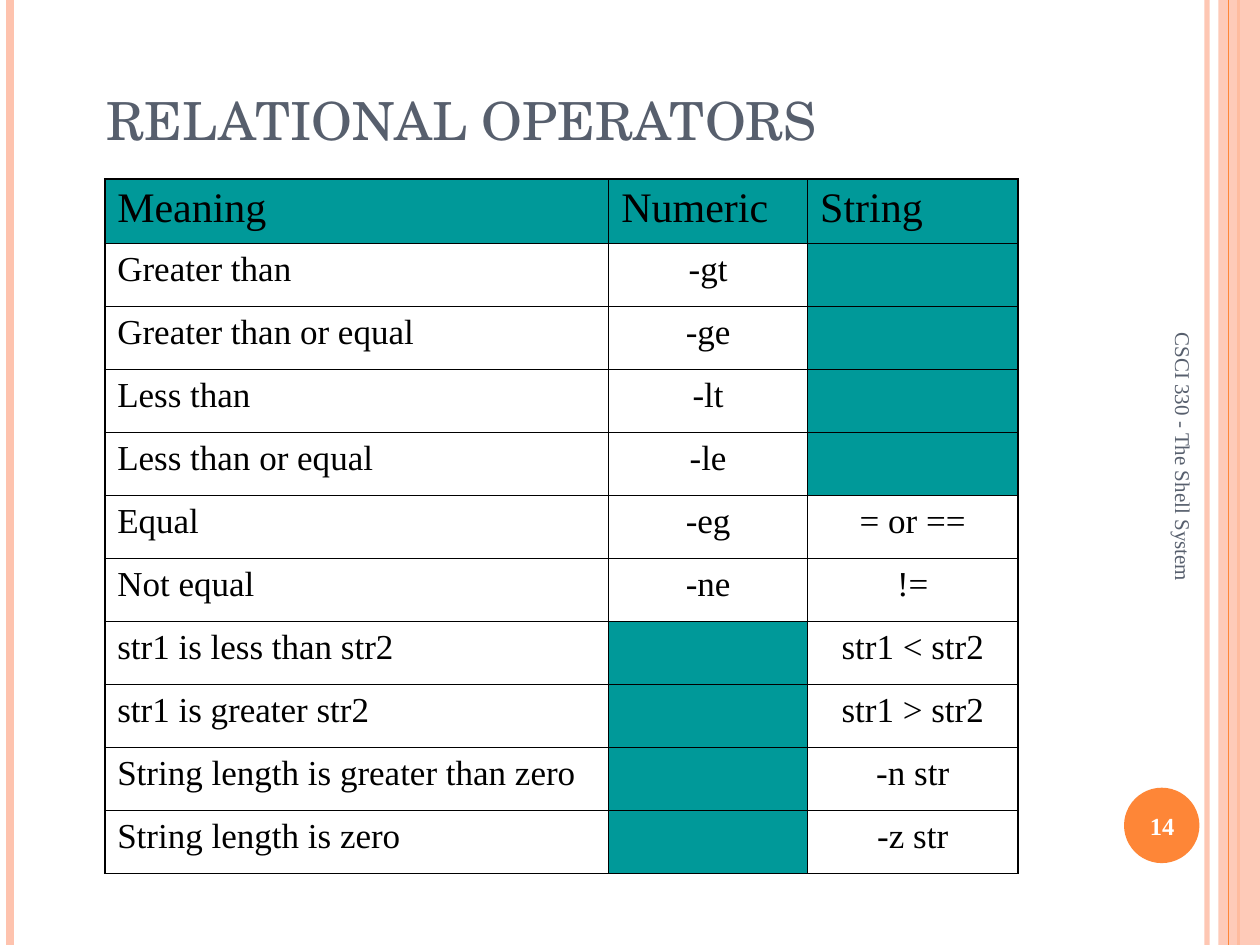
from dataclasses import dataclass

from lxml.etree import SubElement
from pptx import Presentation
from pptx.dml.color import RGBColor
from pptx.enum.shapes import MSO_CONNECTOR, MSO_SHAPE
from pptx.enum.text import MSO_ANCHOR, PP_ALIGN
from pptx.oxml import parse_xml
from pptx.oxml.ns import nsdecls, qn
from pptx.util import Cm, Pt

COLORS = {
    "peach": "FEC3AE",
    "orange": "FE8637",
    "slate": "575F6D",
    "teal": "009999",
    "white": "FFFFFF",
    "black": "000000",
}
SERIF = "Times New Roman"
PAGE_WIDTH, PAGE_HEIGHT = 25.4, 19.05
THIN, THICK = 0.45, 1.08


@dataclass
class Stripe:
    x: float
    color: str
    width: float
    opacity: int = 100


@dataclass
class Label:
    text: str
    left: float
    top: float
    width: float
    height: float
    size: float
    color: str
    font: str = SERIF
    bold: bool = False
    align: PP_ALIGN = PP_ALIGN.LEFT
    anchor: MSO_ANCHOR = MSO_ANCHOR.MIDDLE
    rotation: float = 0


BACK_STRIPES = [
    Stripe(24.33, "peach", 3, 93),
    Stripe(0.2, "peach", 4.5),
    Stripe(24.97, "orange", 1.5),
]
FRONT_STRIPE = Stripe(24.77, "orange", 0.75)

LABELS = [
    Label("RELATIONAL OPERATORS", 1.9, 0.84, 21.59, 2.34, 30, "slate",
          font="TeX Gyre Schola", anchor=MSO_ANCHOR.BOTTOM),
    Label("CSCI 330 - The Shell System", 19.41, 10.39, 8.89, 1.02, 12, "slate",
          rotation=90),
    Label("14", 22.58, 15.93, 1.7, 1.45, 14, "white", bold=True,
          align=PP_ALIGN.CENTER),
]

# An empty string marks an operator that does not exist: a teal cell
OPERATORS = [
    ("Meaning", "Numeric", "String"),
    ("Greater than", "-gt", ""),
    ("Greater than or equal", "-ge", ""),
    ("Less than", "-lt", ""),
    ("Less than or equal", "-le", ""),
    ("Equal", "-eg", "= or =="),
    ("Not equal", "-ne", "!="),
    ("str1 is less than str2", "", "str1 < str2"),
    ("str1 is greater str2", "", "str1 > str2"),
    ("String length is greater than zero", "", "-n str"),
    ("String length is zero", "", "-z str"),
]
COLUMN_WIDTHS = [10.16, 4.01, 4.24]
HEADER_HEIGHT, ROW_HEIGHT = 1.3, 1.27


def rgb(name: str) -> RGBColor:
    return RGBColor.from_string(COLORS[name])


def set_opacity(element, percent: int) -> None:
    color = next(element.iter(qn("a:srgbClr")))
    SubElement(color, qn("a:alpha"), val=str(percent * 1000))


def write_text(paragraph, text: str, size: float, color: str,
               font: str = SERIF, bold: bool = False) -> None:
    span = paragraph.add_run()
    span.text = text
    for name, value in {"name": font, "size": Pt(size), "bold": bold}.items():
        setattr(span.font, name, value)
    span.font.color.rgb = rgb(color)


def draw_stripe(page, stripe: Stripe) -> None:
    x = Cm(stripe.x)
    line = page.shapes.add_connector(
        MSO_CONNECTOR.STRAIGHT, x, 0, x, Cm(PAGE_HEIGHT))
    line.line.color.rgb = rgb(stripe.color)
    line.line.width = Pt(stripe.width)
    properties = line._element.spPr
    if stripe.opacity < 100:
        set_opacity(properties, stripe.opacity)
    SubElement(properties, qn("a:effectLst"))


def draw_shape(page, kind: MSO_SHAPE, left: float, top: float, width: float,
               height: float, color: str, opacity: int = 100) -> None:
    shape = page.shapes.add_shape(
        kind, Cm(left), Cm(top), Cm(width), Cm(height))
    shape.shadow.inherit = False
    shape.fill.solid()
    shape.fill.fore_color.rgb = rgb(color)
    shape.line.fill.background()
    if opacity < 100:
        set_opacity(shape._element.spPr, opacity)


def draw_label(page, label: Label) -> None:
    box = page.shapes.add_textbox(
        Cm(label.left), Cm(label.top), Cm(label.width), Cm(label.height))
    box.rotation = label.rotation
    box.text_frame.word_wrap = True
    box.text_frame.vertical_anchor = label.anchor
    paragraph = box.text_frame.paragraphs[0]
    paragraph.alignment = label.align
    write_text(paragraph, label.text, label.size, label.color,
               label.font, label.bold)


def set_borders(cell, widths: dict[str, float]) -> None:
    properties = cell._tc.get_or_add_tcPr()
    for position, (side, width) in enumerate(widths.items()):
        properties.insert(position, parse_xml(
            f'<a:ln{side} {nsdecls("a")} w="{int(Pt(width))}"><a:solidFill>'
            f'<a:srgbClr val="{COLORS["black"]}"/></a:solidFill></a:ln{side}>'))


def draw_table(page, left: float, top: float) -> None:
    last_row, last_column = len(OPERATORS) - 1, len(COLUMN_WIDTHS) - 1
    height = HEADER_HEIGHT + last_row * ROW_HEIGHT
    table = page.shapes.add_table(
        last_row + 1, last_column + 1, Cm(left), Cm(top),
        Cm(sum(COLUMN_WIDTHS)), Cm(height)).table
    for column, width in zip(table.columns, COLUMN_WIDTHS):
        column.width = Cm(width)

    for r, texts in enumerate(OPERATORS):
        header = r == 0
        table.rows[r].height = Cm(HEADER_HEIGHT if header else ROW_HEIGHT)
        for c, text in enumerate(texts):
            cell = table.cell(r, c)
            cell.fill.solid()
            cell.fill.fore_color.rgb = rgb(
                "teal" if header or not text else "white")
            set_borders(cell, {
                "L": THICK if c == 0 else THIN,
                "R": THICK if c == last_column else THIN,
                "T": THICK if header else THIN,
                "B": THICK if r == last_row else THIN,
            })
            if text:
                paragraph = cell.text_frame.paragraphs[0]
                paragraph.space_before = Pt(6 if header else 5)
                if not header and c > 0:
                    paragraph.alignment = PP_ALIGN.CENTER
                write_text(paragraph, text, 24 if header else 20, "black")


def main() -> None:
    deck = Presentation()
    deck.slide_width, deck.slide_height = Cm(PAGE_WIDTH), Cm(PAGE_HEIGHT)
    page = deck.slides.add_slide(deck.slide_layouts[6])

    # Side decoration and page number disc
    for stripe in BACK_STRIPES:
        draw_stripe(page, stripe)
    draw_shape(page, MSO_SHAPE.RECTANGLE, 24.56, 0, 0.84, PAGE_HEIGHT,
               "peach", 87)
    draw_stripe(page, FRONT_STRIPE)
    draw_shape(page, MSO_SHAPE.OVAL, 22.66, 15.88, 1.52, 1.52, "orange")

    # Operators, then title, footer and page number
    draw_table(page, 2.11, 3.61)
    for label in LABELS:
        draw_label(page, label)

    deck.save("out.pptx")


if __name__ == "__main__":
    main()
